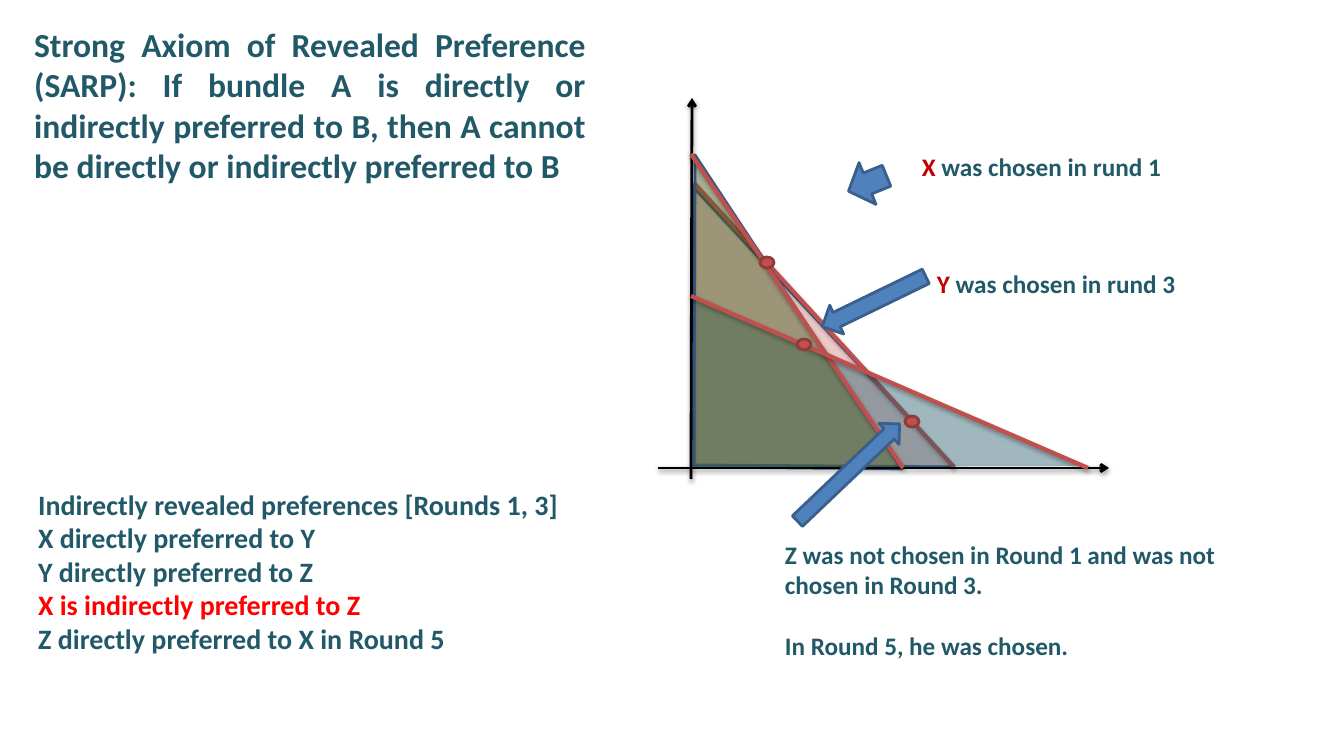
"""Build a slide explaining the Strong Axiom of Revealed Preference."""
from lxml.etree import SubElement
from pptx import Presentation
from pptx.dml.color import RGBColor
from pptx.enum.shapes import MSO_CONNECTOR as Connector, MSO_SHAPE as Shape
from pptx.enum.text import MSO_ANCHOR as Anchor, MSO_AUTO_SIZE as AutoSize, PP_ALIGN as Align
from pptx.oxml.ns import qn
from pptx.util import Pt

PX = 914400 / 100.8
TEAL, RED, DARK_RED, BLUE, NAVY = "215968", "C0504D", "C00000", "4F81BD", "3A5F8C"


def px(*lengths):
    return [round(length * PX) for length in lengths]


def paint(color_format, color):
    color_format.rgb = RGBColor.from_string(color)


presentation = Presentation()
presentation.slide_width, presentation.slide_height = px(1344, 756)
slide = presentation.slides.add_slide(presentation.slide_layouts[1])
shapes = slide.shapes

triangles = [
    ([(694, 188), (954, 467), (694, 465)], "D99694", 50, True),
    ([(693, 297), (1083, 466), (691, 467)], TEAL, 43, False),
    ([(695, 155), (902, 469), (694, 467)], "4F6228", 50, True),
]
axis = {"color": "000000", "width": 2, "distance": 20000, "alpha": 38000, "arrow": True}
budget = {"color": RED, "width": 3, "distance": 23000, "alpha": 35000, "arrow": False}
lines = [
    ((694, 183, 954, 467), budget),
    ((691, 479, 692, 98), axis),
    ((658, 468, 1109, 468), axis),
    ((691, 154, 903, 468), budget),
    ((691, 296, 1088, 468), budget),
]
drawing_order = [triangles[0], lines[0], *triangles[1:], *lines[1:]]

for item in drawing_order:
    if len(item) == 4:
        corners, color, opacity, outlined = item
        builder = shapes.build_freeform(*corners[0], scale=PX)
        builder.add_line_segments(corners[1:], close=True)
        shape = builder.convert_to_shape()
        shape.shadow.inherit = False
        shape.fill.solid()
        paint(shape.fill.fore_color, color)
        color_element = shape._element.spPr.find(qn("a:solidFill"))[0]
        SubElement(color_element, qn("a:alpha"), val=str(opacity * 1000))
        if outlined:
            paint(shape.line.color, NAVY)
            shape.line.width = Pt(2)
        else:
            shape.line.fill.background()
    else:
        ends, style = item
        line = shapes.add_connector(Connector.STRAIGHT, *px(*ends))
        paint(line.line.color, style["color"])
        line.line.width = Pt(style["width"])
        if style["arrow"]:
            SubElement(line.line._get_or_add_ln(), qn("a:tailEnd"), type="arrow")
        effects = SubElement(line._element.spPr, qn("a:effectLst"))
        shadow = SubElement(effects, qn("a:outerShdw"), blurRad="40000",
                            dist=str(style["distance"]), dir="5400000", rotWithShape="0")
        shadow_color = SubElement(shadow, qn("a:srgbClr"), val="000000")
        SubElement(shadow_color, qn("a:alpha"), val=str(style["alpha"]))

bundles = [(Shape.OVAL, (left, top, 14, 11), 0, RED, "8E3B39")
           for left, top in [(760, 257), (797, 339), (905, 416)]]
arrows = [(Shape.DOWN_ARROW, box, rotation, BLUE, NAVY) for box, rotation in [
    ((845, 163, 45, 41), 67.9), ((858, 244, 32, 115), 64.1), ((834, 402, 29, 141), 226.4)]]
for kind, box, rotation, fill, outline in bundles + arrows:
    shape = shapes.add_shape(kind, *px(*box))
    shape.rotation = rotation
    shape.shadow.inherit = False
    shape.fill.solid()
    paint(shape.fill.fore_color, fill)
    paint(shape.line.color, outline)
    shape.line.width = Pt(2)

texts = [
    (shapes.title, (24, 19, 572, 173), 24, Align.JUSTIFY, 0, [
        [("Strong Axiom of Revealed Preference (SARP): If bundle A is directly or indirectly "
          "preferred to B, then A cannot be directly or indirectly preferred to B", TEAL)]]),
    (slide.placeholders[1], (28, 482, 777, 179), 20, Align.JUSTIFY, 0, [
        [("Indirectly revealed preferences [Rounds 1, 3]", TEAL)],
        [("X directly preferred to Y", TEAL)],
        [("Y directly preferred to Z", TEAL)],
        [("X is indirectly preferred to Z", "FF0000")],
        [("Z directly preferred to X in Round 5", TEAL)]]),
    (None, (912, 146, 428, 40), 18, Align.LEFT, 0, [
        [("X", DARK_RED), (" was chosen in rund 1", TEAL)]]),
    (None, (927, 263, 430, 40), 18, Align.LEFT, 0, [
        [("Y ", DARK_RED), ("was chosen in rund 3", TEAL)]]),
    (None, (775, 534, 458, 132), 18, Align.LEFT, 22, [
        [("Z was not chosen in Round 1 and was not chosen in Round 3.", TEAL)],
        [("In Round 5, he was chosen.", TEAL)]]),
]
for holder, box, size, alignment, gap, paragraphs in texts:
    box = px(*box)
    holder = holder or shapes.add_textbox(*box)
    for name, value in zip(("left", "top", "width", "height"), box):
        setattr(holder, name, value)
    frame = holder.text_frame
    frame_format = {"word_wrap": True, "auto_size": AutoSize.NONE, "vertical_anchor": Anchor.TOP}
    for name, value in frame_format.items():
        setattr(frame, name, value)
    for index, runs in enumerate(paragraphs):
        paragraph = frame.add_paragraph() if index else frame.paragraphs[0]
        paragraph.alignment = alignment
        paragraph.space_before = Pt(gap if index else 0)
        properties = paragraph._p.get_or_add_pPr()
        properties.set("marL", "0")
        properties.set("indent", "0")
        SubElement(properties, qn("a:buNone"))
        for words, color in runs:
            run = paragraph.add_run()
            run.text = words
            for name, value in {"name": "Calibri", "size": Pt(size), "bold": True}.items():
                setattr(run.font, name, value)
            paint(run.font.color, color)

presentation.save("out.pptx")
